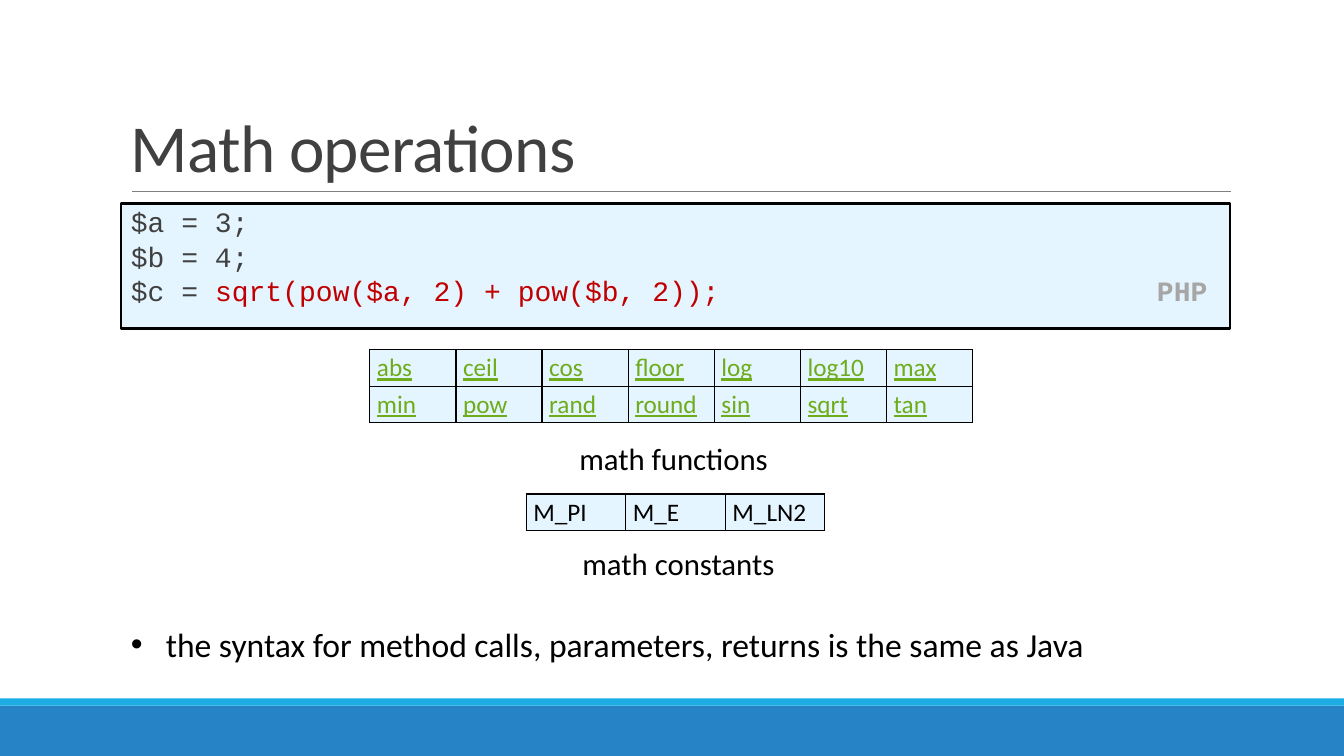
"""Build the slide on math operations in PHP."""
from lxml import etree
from pptx import Presentation
from pptx.dml.color import RGBColor
from pptx.enum import shapes, text
from pptx.oxml import ns
from pptx.util import Cm, Pt

BLACK = RGBColor(0x00, 0x00, 0x00)
DARK = RGBColor(0x40, 0x40, 0x40)
GREY = RGBColor(0x80, 0x80, 0x80)
SILVER = RGBColor(0xA6, 0xA6, 0xA6)
BLUE = RGBColor(0x26, 0x83, 0xC6)
CYAN = RGBColor(0x1C, 0xAD, 0xE4)
PALE = RGBColor(0xE5, 0xF5, 0xFF)
RED = RGBColor(0xC0, 0x00, 0x00)
GREEN = RGBColor(0x6E, 0xAC, 0x1C)


def add(node, tag, **attrs):
    child = etree.SubElement(node, ns.qn(tag))
    for key, value in attrs.items():
        child.set(key, str(value))
    return child


class Deck:
    """Hold the style and the current slide."""

    sans = "Calibri"
    mono = "Courier New"

    def __init__(self):
        self.prs = Presentation()
        self.prs.slide_width, self.prs.slide_height = Cm(33.87), Cm(19.05)
        self.slide = self.prs.slides.add_slide(self.prs.slide_layouts[6])

    def run(self, para, words, size, color=BLACK, face=None, bold=None, under=None):
        run = para.add_run()
        run.text = words
        font = run.font
        font.name, font.size = face or self.sans, Pt(size)
        font.bold, font.underline = bold, under
        font.color.rgb = color
        return run

    def box(self, x, y, w, h, fill, edge=None):
        box = self.slide.shapes.add_shape(
            shapes.MSO_SHAPE.RECTANGLE, Cm(x), Cm(y), Cm(w), Cm(h))
        box.shadow.inherit = False
        box.fill.solid()
        box.fill.fore_color.rgb = fill
        if edge is None:
            box.line.fill.background()
        else:
            box.line.color.rgb = edge
            box.line.width = Pt(1.5)
        return box

    def rule(self, x, y, end):
        line = self.slide.shapes.add_connector(
            shapes.MSO_CONNECTOR.STRAIGHT, Cm(x), Cm(y), Cm(end), Cm(y))
        line.line.color.rgb = GREY
        line.line.width = Pt(0.5)
        add(line._element.spPr, "a:effectLst")

    def label(self, x, y, w, h, words, size, color=BLACK, wrap=False):
        frame = self.slide.shapes.add_textbox(Cm(x), Cm(y), Cm(w), Cm(h)).text_frame
        frame.word_wrap = wrap
        para = frame.paragraphs[0]
        return frame, para, self.run(para, words, size, color)

    def title(self, x, y, w, h, words):
        frame, para, run = self.label(x, y, w, h, words, 48, DARK, True)
        frame.vertical_anchor = text.MSO_ANCHOR.BOTTOM
        para.line_spacing = 0.85
        run.font._element.set("spc", "-50")

    def bullet(self, x, y, w, h, words):
        para = self.label(x, y, w, h, words, 24, wrap=True)[1]
        props = para._p.get_or_add_pPr()
        props.set("marL", str(Cm(0.88)))
        props.set("indent", str(Cm(-0.88)))
        add(props, "a:buFont", typeface="Arial")
        add(props, "a:buChar", char="•")

    def code(self, x, y, w, h, lines, tab):
        frame = self.box(x, y, w, h, PALE, BLACK).text_frame
        frame.word_wrap = True
        frame.vertical_anchor = text.MSO_ANCHOR.TOP
        frame.margin_left, frame.margin_right = Cm(0.25), 0
        for i, parts in enumerate(lines):
            para = frame.add_paragraph() if i else frame.paragraphs[0]
            para.alignment = text.PP_ALIGN.LEFT
            para.line_spacing, para.space_after = 0.9, Pt(3)
            tabs = add(para._p.get_or_add_pPr(), "a:tabLst")
            add(tabs, "a:tab", pos=Cm(tab), algn="r")
            for words, color, bold in parts:
                self.run(para, words, 20, color, self.mono, bold)

    def table(self, x, y, col, row, rows, color=BLACK, under=None):
        count = len(rows[0])
        grid = self.slide.shapes.add_table(
            len(rows), count, Cm(x), Cm(y), Cm(col * count), Cm(row * len(rows))).table
        for r, names in enumerate(rows):
            grid.rows[r].height = Cm(row)
            for c, name in enumerate(names):
                grid.columns[c].width = Cm(col)
                self.cell(grid.cell(r, c), name, color, under)

    def cell(self, cell, name, color, under):
        cell.margin_left = cell.margin_right = Cm(0.18)
        cell.margin_top = cell.margin_bottom = Cm(0.08)
        props = cell._tc.get_or_add_tcPr()
        for side in "LRTB":
            edge = add(props, "a:ln" + side, w=Pt(1))
            add(add(edge, "a:solidFill"), "a:srgbClr", val=BLACK)
        cell.fill.solid()
        cell.fill.fore_color.rgb = PALE
        self.run(cell.text_frame.paragraphs[0], name, 18, color, under=under)


deck = Deck()
deck.box(0, 17.78, 33.87, 1.27, BLUE)
deck.box(0, 17.6, 33.87, 0.18, CYAN)
deck.rule(3.33, 4.83, 31.01)
deck.title(3.05, 0.79, 27.94, 4.04, "Math operations")
deck.code(3.05, 5.13, 27.94, 3.15, [
    [("$a = 3;", DARK, None)],
    [("$b = 4;", DARK, None)],
    [("$c = ", DARK, None),
     ("sqrt(pow($a, 2) + pow($b, 2));\t", RED, None),
     ("PHP", SILVER, True)],
], 27.13)
deck.table(9.32, 8.81, 2.17, 0.91, [
    ["abs", "ceil", "cos", "floor", "log", "log10", "max"],
    ["min", "pow", "rand", "round", "sin", "sqrt", "tan"],
], GREEN, True)
deck.label(14.35, 10.95, 5.31, 1.19, "math functions", 22)
deck.table(13.26, 12.45, 2.51, 0.91, [["M_PI", "M_E", "M_LN2"]])
deck.label(14.43, 13.59, 5.41, 1.19, "math constants", 22)
deck.bullet(3.05, 15.6, 28.14, 1.27,
            "the syntax for method calls, parameters, returns is the same as Java")
deck.prs.save("out.pptx")
